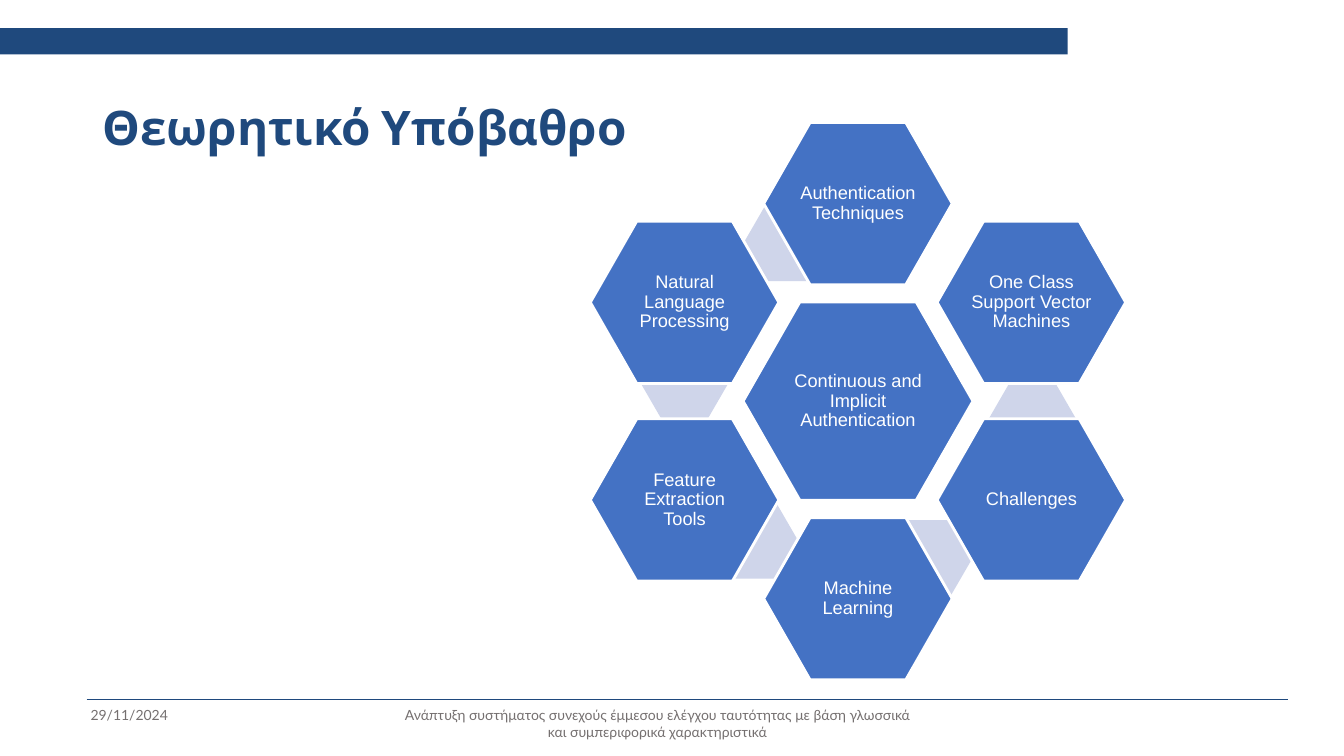
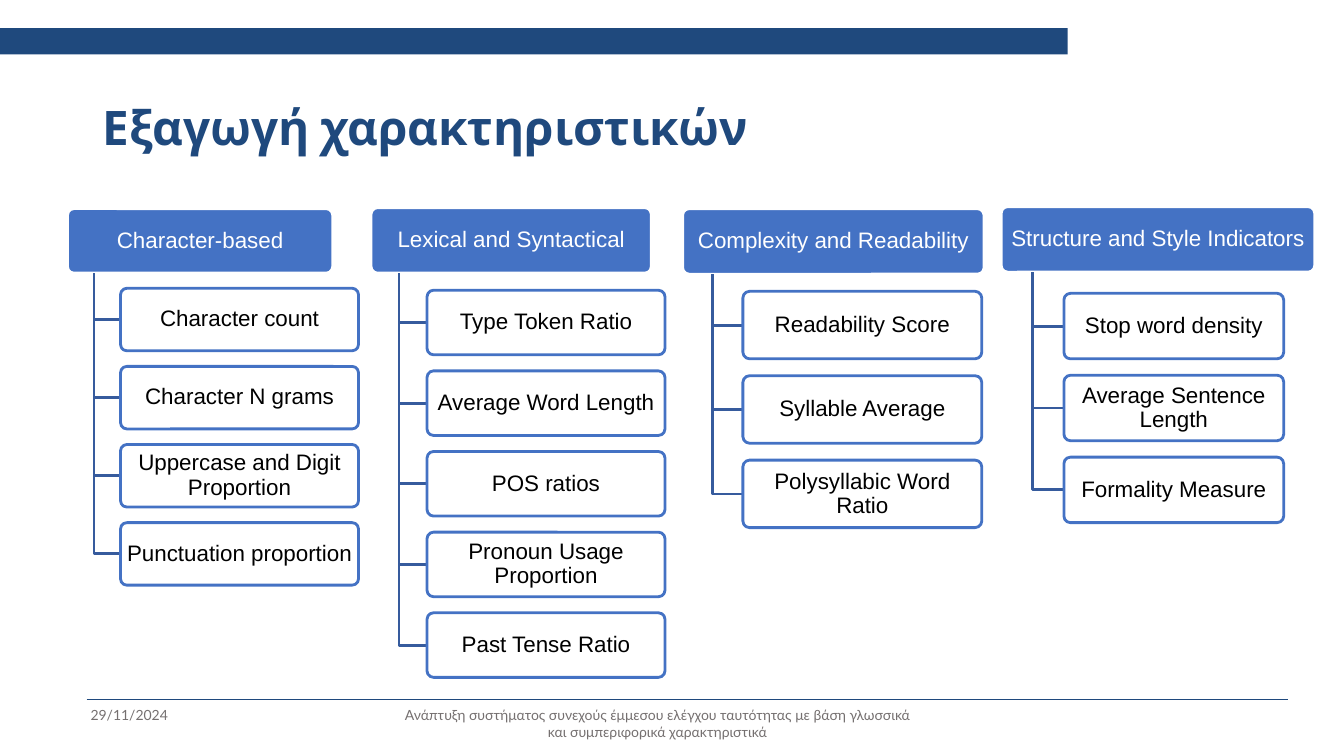
import pptx
import pptx.util
import pptx.dml.color
import pptx.enum.shapes
import pptx.enum.text

Inches = pptx.util.Inches
RGBColor = pptx.dml.color.RGBColor
SHAPE = pptx.enum.shapes.MSO_SHAPE
ALIGN = pptx.enum.text.PP_ALIGN
ANCHOR = pptx.enum.text.MSO_ANCHOR

# Colours
NAVY = RGBColor(0x1F, 0x49, 0x7D)
BLUE = RGBColor(0x44, 0x72, 0xC4)
PALE_BLUE = RGBColor(0xCF, 0xD5, 0xEA)
BRANCH_BLUE = RGBColor(0x36, 0x5B, 0x9D)
GREY = RGBColor(0x75, 0x70, 0x70)
WHITE = RGBColor(0xFF, 0xFF, 0xFF)
BLACK = RGBColor(0, 0, 0)

# Shared content
DATE = "29/11/2024"
FOOTER = ("Ανάπτυξη συστήματος συνεχούς έμμεσου ελέγχου ταυτότητας "
          "με βάση γλωσσικά και συμπεριφορικά χαρακτηριστικά")

# Topic ring: steps right and down from the centre, and the text
HUB_TOPIC = "Continuous and Implicit Authentication"
RING_TOPICS = [
    (0, -2, "Authentication Techniques"),
    (-1, -1, "Natural Language Processing"),
    (-1, 1, "Feature Extraction Tools"),
    (0, 2, "Machine Learning"),
    (1, 1, "Challenges"),
    (1, -1, "One Class Support Vector Machines"),
]
RING_CENTRE = (8.51, 3.98)
RING_STEP = (1.72, 0.98)
HUB_SIZE = (2.28, 1.97)
TOPIC_SIZE = (1.87, 1.61)
ACCENT_SIZE = (0.86, 0.74)
ACCENT_CORNERS = [(7.37, 2.05), (6.36, 3.44), (7.06, 5), (8.79, 5.16), (9.81, 3.78)]

# Feature columns: heading box, then the first item's top and the items' size
FEATURE_COLUMNS = [
    {"heading": "Character-based", "at": (0.67, 2.07, 2.63, 0.64),
     "first_top": 2.86, "item_size": (2.36, 0.62),
     "items": ["Character count", "Character N grams",
               "Uppercase and Digit Proportion", "Punctuation proportion"]},
    {"heading": "Lexical and Syntactical", "at": (3.68, 2.06, 2.78, 0.65),
     "first_top": 2.88, "item_size": (2.36, 0.64),
     "items": ["Type Token Ratio", "Average Word Length", "POS ratios",
               "Pronoun Usage Proportion", "Past Tense Ratio"]},
    {"heading": "Complexity and Readability", "at": (6.77, 2.07, 2.99, 0.65),
     "first_top": 2.89, "item_size": (2.37, 0.67),
     "items": ["Readability Score", "Syllable Average", "Polysyllabic Word Ratio"]},
    {"heading": "Structure and Style Indicators", "at": (9.93, 2.05, 3.11, 0.65),
     "first_top": 2.91, "item_size": (2.18, 0.65),
     "items": ["Stop word density", "Average Sentence Length", "Formality Measure"]},
]


def write(box, text, *, size, font="Arial", color=BLACK, bold=False, align=ALIGN.CENTER,
          anchor=ANCHOR.MIDDLE, spacing=0.9, insets=(0.03, 0.02)):
    """Put formatted text into a shape or text box."""
    frame = box.text_frame
    frame.word_wrap = True
    frame.vertical_anchor = anchor
    frame.margin_left = frame.margin_right = Inches(insets[0])
    frame.margin_top = frame.margin_bottom = Inches(insets[1])
    para = frame.paragraphs[0]
    para.alignment = align
    para.line_spacing = spacing
    span = para.add_run()
    span.text = text
    span.font.name = font
    span.font.size = pptx.util.Pt(size)
    span.font.bold = bold
    span.font.color.rgb = color


def add_box(page, kind, at, fill, line=None, adjust=None):
    box = page.shapes.add_shape(kind, *map(Inches, at))
    box.shadow.inherit = False
    box.fill.solid()
    box.fill.fore_color.rgb = fill
    if line is None:
        box.line.fill.background()
    else:
        box.line.color.rgb = line
        box.line.width = pptx.util.Pt(2)
    if adjust is not None:
        box.adjustments[0] = adjust
    return box


def add_label(page, at, text, **format):
    write(page.shapes.add_textbox(*map(Inches, at)), text, insets=(0.1, 0.05), **format)


def add_page(deck, title):
    """Start a slide with the band, title, rule and footers."""
    page = deck.slides.add_slide(deck.slide_layouts[6])
    for placeholder in list(page.placeholders):
        placeholder.element.getparent().remove(placeholder.element)
    rule = page.shapes.add_connector(pptx.enum.shapes.MSO_CONNECTOR.STRAIGHT,
                                     Inches(0.86), Inches(6.94), Inches(12.77), Inches(6.94))
    rule.line.color.rgb = NAVY
    rule.line.width = pptx.util.Pt(1.25)
    properties = rule.element.spPr
    properties.append(properties.makeelement(pptx.oxml.ns.qn("a:effectLst"), {}))
    footer_style = {"size": 10, "font": "Lato", "color": GREY,
                    "anchor": ANCHOR.TOP, "spacing": 1.0}
    add_label(page, (3.89, 6.96, 5.26, 0.26), FOOTER, **footer_style)
    add_label(page, (0.8, 6.96, 1.22, 0.29), DATE, align=ALIGN.LEFT, **footer_style)
    add_box(page, SHAPE.RECTANGLE, (0, 0.28, 10.59, 0.26), NAVY)
    add_label(page, (0.92, 0.74, 11.5, 1.1), title, size=34, font="Cabin",
              color=NAVY, bold=True, align=ALIGN.LEFT)
    return page


def add_topic(page, text, size, right=0, down=0):
    """Add a hexagon, placed in steps from the ring's centre."""
    left = RING_CENTRE[0] + right * RING_STEP[0] - size[0] / 2
    top = RING_CENTRE[1] + down * RING_STEP[1] - size[1] / 2
    hexagon = add_box(page, SHAPE.HEXAGON, (left, top, *size), BLUE, WHITE, 0.286)
    write(hexagon, text, size=13, color=WHITE, insets=(0.02, 0.02))


def add_elbow(page, stem, top, middle, end):
    """Draw a branch down from a heading and right to an item."""
    builder = page.shapes.build_freeform(Inches(stem), Inches(top))
    builder.add_line_segments([(Inches(stem), Inches(middle)),
                               (Inches(end), Inches(middle))], close=False)
    elbow = builder.convert_to_shape()
    elbow.shadow.inherit = False
    elbow.fill.background()
    elbow.line.color.rgb = BRANCH_BLUE
    elbow.line.width = pptx.util.Pt(2)


def add_feature_column(page, column):
    left, top, width, height = column["at"]
    heading = add_box(page, SHAPE.ROUNDED_RECTANGLE, column["at"], BLUE, WHITE, 0.1)
    write(heading, column["heading"], size=16, color=WHITE)
    stem, item_left = left + 0.1 * width, left + 0.2 * width
    item_width, item_height = column["item_size"]
    for row, text in enumerate(column["items"]):
        item_top = column["first_top"] + row * 1.25 * item_height
        add_elbow(page, stem, top + height, item_top + item_height / 2, item_left)
        item = add_box(page, SHAPE.ROUNDED_RECTANGLE,
                       (item_left, item_top, item_width, item_height), WHITE, BLUE, 0.1)
        write(item, text, size=16)


def main():
    deck = pptx.Presentation()
    deck.slide_width, deck.slide_height = Inches(13.33), Inches(7.5)

    # Topic ring
    page = add_page(deck, "Θεωρητικό Υπόβαθρο")
    add_topic(page, HUB_TOPIC, HUB_SIZE)
    for corner in ACCENT_CORNERS:
        add_box(page, SHAPE.HEXAGON, (*corner, *ACCENT_SIZE), PALE_BLUE, adjust=0.289)
    for right, down, text in RING_TOPICS:
        add_topic(page, text, TOPIC_SIZE, right, down)

    # Feature columns
    page = add_page(deck, "Εξαγωγή χαρακτηριστικών")
    for column in FEATURE_COLUMNS:
        add_feature_column(page, column)

    deck.save("out.pptx")


if __name__ == "__main__":
    main()
